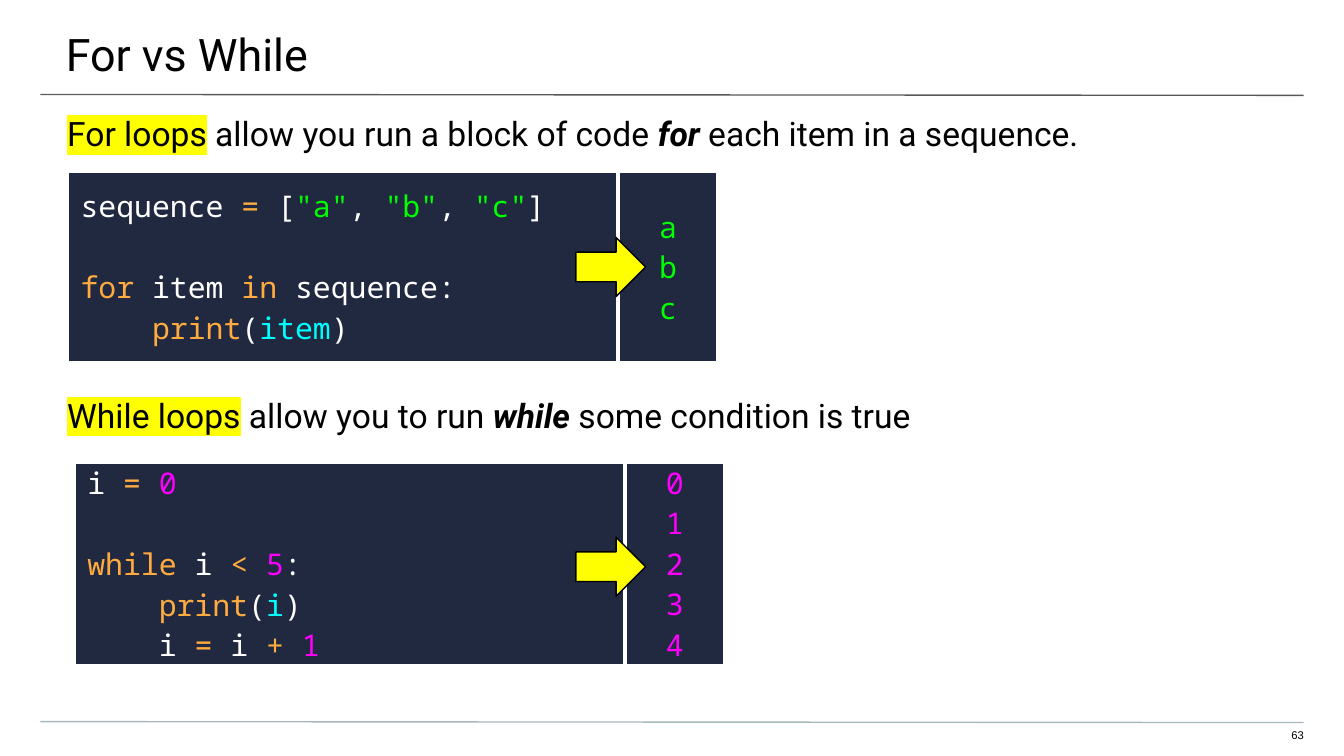
from dataclasses import dataclass

from lxml.etree import SubElement
from pptx import Presentation
from pptx.dml.color import RGBColor
from pptx.enum.shapes import MSO_CONNECTOR, MSO_SHAPE
from pptx.enum.text import MSO_ANCHOR, PP_ALIGN
from pptx.oxml.ns import qn
from pptx.util import Pt


@dataclass(frozen=True)
class Theme:
    black: str = "000000"
    white: str = "FFFFFF"
    yellow: str = "FFFF00"
    navy: str = "212940"
    orange: str = "FFAB40"
    green: str = "00FF00"
    cyan: str = "00FFFF"
    pink: str = "FF00FF"
    rule: str = "595959"
    base: str = "A9B7C0"
    sans: str = "Roboto"
    mono: str = "Noto Sans Mono"
    plain: str = "Arial"
    head: float = 24
    body: float = 18
    code: float = 16
    note: float = 6
    gap: float = 21.8  # one line of code


T = Theme()

FOR = [
    [("sequence ", T.white), ("=", T.orange), (" [", T.white),
     ('"a"', T.green), (", ", T.white), ('"b"', T.green),
     (", ", T.white), ('"c"', T.green), ("]", T.white)],
    [],
    [("for", T.orange), (" item ", T.white), ("in ", T.orange),
     ("sequence:", T.white)],
    [("    print", T.orange), ("(", T.white), ("item", T.cyan), (")", T.white)],
]
WHILE = [
    [("i ", T.white), ("= ", T.orange), ("0", T.pink)],
    [],
    [("while", T.orange), (" i ", T.white), ("< ", T.orange),
     ("5", T.pink), (":", T.white)],
    [("    print", T.orange), ("(", T.white), ("i", T.cyan), (")", T.white)],
    [("    i ", T.white), ("=", T.orange), (" i ", T.white),
     ("+ ", T.orange), ("1", T.pink)],
]


def rgb(code):
    return RGBColor.from_string(code)


def say(para, text, size=T.body, font=T.sans, color=T.black,
        bold=False, italic=False, mark=None):
    """Add a run; mark is the highlight colour."""
    run = para.add_run()
    run.text = text
    face = run.font
    face.size, face.name = Pt(size), font
    face.bold, face.italic = bold, italic
    face.color.rgb = rgb(color)
    if mark:
        props = run._r.get_or_add_rPr()
        light = SubElement(props, qn("a:highlight"))
        SubElement(light, qn("a:srgbClr"), val=mark)
        props.find(qn("a:solidFill")).addnext(light)


def place(shape, box):
    shape.left, shape.top, shape.width, shape.height = map(Pt, box)


def inset(frame, left, top, right, bottom):
    frame.word_wrap = True
    frame.vertical_anchor = MSO_ANCHOR.TOP
    frame.margin_left, frame.margin_top = Pt(left), Pt(top)
    frame.margin_right, frame.margin_bottom = Pt(right), Pt(bottom)


def rule(slide, box, color):
    left, top, wide, drop = box
    line = slide.shapes.add_connector(
        MSO_CONNECTOR.STRAIGHT, Pt(left), Pt(top), Pt(left + wide), Pt(top + drop))
    line.line.color.rgb = rgb(color)
    line.line.width = Pt(0.75)
    SubElement(line._element.spPr, qn("a:effectLst"))


def header(slide, box, text):
    left, top, wide, high = box
    title = slide.shapes.title
    place(title, (left - 0.7, top, wide + 2, high))
    inset(title.text_frame, 36, 14.4, 21.6, 0)
    para = title.text_frame.paragraphs[0]
    para.alignment = PP_ALIGN.LEFT
    say(para, text, size=T.head)
    rule(slide, (left + 21.6, top + 50.6, wide - 43.2, 0.5), T.rule)


def footer(slide, box, text):
    left, top, wide, high = box
    rule(slide, (left + 21.6, top, wide - 43.2, 0.5), T.base)
    note = slide.shapes.add_textbox(
        Pt(left + wide - 42.5), Pt(top + 3.6), Pt(20.9), Pt(high - 9))
    inset(note.text_frame, 0, 0, 0, 0)
    para = note.text_frame.paragraphs[0]
    para.alignment = PP_ALIGN.RIGHT
    say(para, text, size=T.note, font=T.plain)


def intro(slide, box, lead, middle, stress, rest):
    area = slide.shapes.add_textbox(*map(Pt, box))
    inset(area.text_frame, 36, 7.2, 36, 0)
    para = area.text_frame.paragraphs[0]
    say(para, lead, mark=T.yellow)
    say(para, middle)
    say(para, stress, bold=True, italic=True)
    say(para, rest)


def fill(cell, lines, align):
    """Write coloured lines; an empty line becomes space before the next."""
    props = cell._tc.get_or_add_tcPr()
    for side in ("lnL", "lnR", "lnT", "lnB"):
        edge = SubElement(props, qn(f"a:{side}"), w=str(Pt(2.25)))
        paint = SubElement(edge, qn("a:solidFill"))
        SubElement(paint, qn("a:srgbClr"), val=T.white)
    cell.fill.solid()
    cell.fill.fore_color.rgb = rgb(T.navy)
    cell.vertical_anchor = MSO_ANCHOR.MIDDLE
    cell.margin_left = cell.margin_right = Pt(7.2)
    cell.margin_top = cell.margin_bottom = 0
    para, space = cell.text_frame.paragraphs[0], 0
    for line in lines:
        if not line:
            space = T.gap
            continue
        if para.runs:
            para = cell.text_frame.add_paragraph()
        para.alignment = align
        if space:
            para.space_before, space = Pt(space), 0
        for text, color in line:
            say(para, text, size=T.code, font=T.mono, color=color)


def demo(slide, box, code, result, color, drop):
    """Code beside its output, with an arrow drop points below the top."""
    left, top, wide, high = box
    frame = slide.shapes.add_table(1, 2, *map(Pt, box))
    table = frame.table
    table.first_row = table.horz_banding = False
    table.columns[0].width = Pt(wide - 53.3)
    table.columns[1].width = Pt(53.3)
    fill(table.cell(0, 0), code, PP_ALIGN.LEFT)
    fill(table.cell(0, 1), [[(item, color)] for item in result], PP_ALIGN.CENTER)

    arrow = slide.shapes.add_shape(
        MSO_SHAPE.RIGHT_ARROW, Pt(308.5), Pt(top + drop), Pt(37.4), Pt(31.7))
    arrow.shadow.inherit = False
    arrow.fill.solid()
    arrow.fill.fore_color.rgb = rgb(T.yellow)
    arrow.line.color.rgb = rgb(T.black)
    arrow.line.width = Pt(0.75)


def main():
    deck = Presentation()
    deck.slide_width, deck.slide_height = Pt(720), Pt(405)
    slide = deck.slides.add_slide(deck.slide_layouts[5])
    header(slide, (0, 0, 720, 42), "For vs While")
    intro(slide, (0, 53.3, 720, 30), "For loops",
          " allow you run a block of code ", "for", " each item in a sequence.")
    demo(slide, (36, 91.6, 348.5, 103), FOR, "abc", T.green, 35.6)
    intro(slide, (0, 204.2, 720, 30), "While loops",
          " allow you to run ", "while", " some condition is true")
    demo(slide, (39.6, 247.6, 348.5, 109), WHILE, "01234", T.pink, 40.2)
    footer(slide, (0, 386.6, 720, 18), "63")
    deck.save("out.pptx")


if __name__ == "__main__":
    main()
